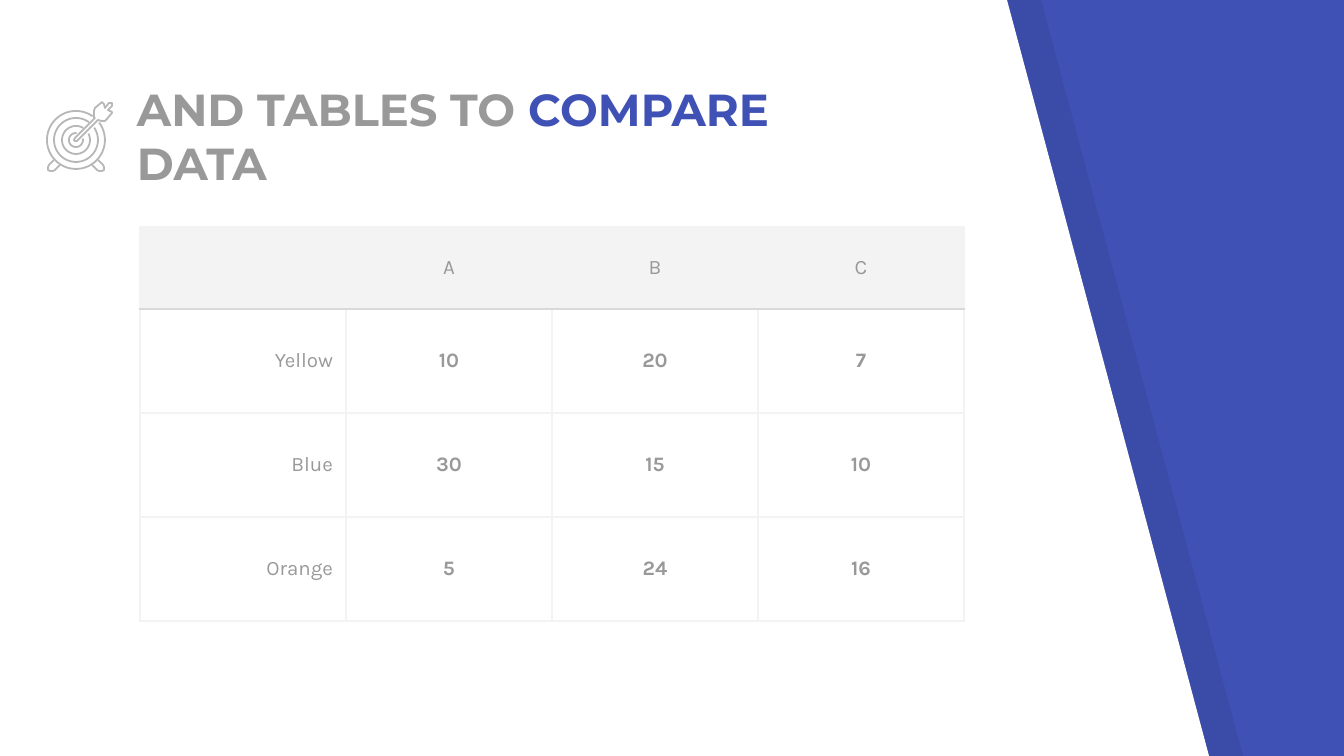
"""Build a slide that compares data in a table."""
from dataclasses import dataclass
from math import cos, radians, sin
from typing import Optional

from lxml import etree
from pptx import Presentation
from pptx.dml.color import RGBColor
from pptx.enum.text import MSO_ANCHOR, MSO_AUTO_SIZE, PP_ALIGN
from pptx.oxml.ns import qn
from pptx.util import Emu, Pt

LEFT, CENTER, RIGHT = PP_ALIGN.LEFT, PP_ALIGN.CENTER, PP_ALIGN.RIGHT
MIDDLE, BOTTOM = MSO_ANCHOR.MIDDLE, MSO_ANCHOR.BOTTOM
NO_FIT = MSO_AUTO_SIZE.NONE

BLUE = RGBColor(0x3F, 0x51, 0xB5)
BLACK = RGBColor(0, 0, 0)
WHITE = RGBColor(0xFF, 0xFF, 0xFF)
GRAY = RGBColor(0x99, 0x99, 0x99)
PALE = RGBColor(0xF3, 0xF3, 0xF3)
RULE = RGBColor(0xD9, 0xD9, 0xD9)
STROKE = RGBColor(0xB7, 0xB7, 0xB7)

SCALE = 914400 / 134.4
WIDE, HIGH = 1344, 756
HUB_X, HUB_Y = 76, 140
HEAD, ROW, COL = 82, 104, 206

DATA = [
    ["", "A", "B", "C"],
    ["Yellow", "10", "20", "7"],
    ["Blue", "30", "15", "10"],
    ["Orange", "5", "24", "16"],
]
FOOT = [(54, 160), (49, 165), (48, 167), (48, 170), (50, 171),
        (53, 171), (55, 170), (60, 165)]
DART = [(112, 112), (108, 110), (112, 106), (112, 103), (109, 103),
        (105, 108), (104, 104), (102, 102), (95, 108), (94, 111),
        (94, 117), (95, 118), (75, 138), (74, 140), (75, 141),
        (77, 141), (98, 120), (102, 121), (105, 121), (106, 120),
        (112, 113)]


@dataclass(frozen=True)
class Ring:
    """An open ring of the target, with angles in degrees."""
    radius: int
    start: int
    end: int

    def points(self) -> list:
        """Return points along the ring."""
        steps = 60
        turns = [radians(self.start + (self.end - self.start) * i / steps)
                 for i in range(steps + 1)]
        return [(HUB_X + self.radius * cos(t), HUB_Y + self.radius * sin(t))
                for t in turns]


@dataclass(frozen=True)
class Panel:
    """A slanted panel from the left edge."""
    shift: int
    fill: RGBColor
    alpha: int

    def points(self) -> list:
        """Return the corners of the panel."""
        return [(self.shift, 0), (self.shift, HIGH),
                (1209 + self.shift, HIGH), (1007 + self.shift, 0)]


RINGS = [Ring(29, -37, 305), Ring(22, -34, 306),
         Ring(14, -27, 301), Ring(7, -12, 276)]
PANELS = [Panel(34, BLACK, 7), Panel(0, WHITE, 100)]


def px(size: float) -> Emu:
    """Turn pixels into EMU."""
    return Emu(round(size * SCALE))


def trace(shapes, points: list, close: bool = False,
          fill: Optional[RGBColor] = None, alpha: int = 100) -> None:
    """Draw a filled panel or a thin outline."""
    first, *rest = [(px(x), px(y)) for x, y in points]
    pen = shapes.build_freeform(*first)
    pen.add_line_segments(rest, close=close)
    shape = pen.convert_to_shape()
    shape.shadow.inherit = False
    if fill is None:
        shape.fill.background()
        shape.line.color.rgb = STROKE
        shape.line.width = Pt(0.96)
        return
    shape.fill.solid()
    shape.fill.fore_color.rgb = fill
    shape.line.fill.background()
    if alpha < 100:
        tint = shape.fill._xPr.find(".//" + qn("a:srgbClr"))
        etree.SubElement(tint, qn("a:alpha"), val=str(alpha * 1000))


def write(para, text: str, *, face: str = "Karla", size: int = 11,
          color: RGBColor = GRAY, bold: bool = False,
          align: PP_ALIGN = CENTER) -> None:
    """Add formatted text to a paragraph."""
    para.alignment = align
    run = para.add_run()
    run.text = text
    font = run.font
    font.name, font.size, font.bold = face, Pt(size), bold
    font.color.rgb = color


def edge(cell, side: str, color: RGBColor) -> None:
    """Draw one border of a cell."""
    line = etree.SubElement(cell._tc.get_or_add_tcPr(), qn("a:ln" + side),
                            w=str(Pt(1.5)))
    fill = etree.SubElement(line, qn("a:solidFill"))
    etree.SubElement(fill, qn("a:srgbClr"), val=str(color))


def draw_title(slide) -> None:
    """Place the title above the panels."""
    title = slide.shapes.title
    slide.shapes._spTree.append(title._element)
    title.left, title.top = px(124), px(142)
    title.width, title.height = px(706), px(60)
    frame = title.text_frame
    frame.word_wrap, frame.auto_size = True, NO_FIT
    frame.vertical_anchor = BOTTOM
    frame.margin_left = frame.margin_right = px(13)
    frame.margin_top = frame.margin_bottom = px(13)
    for text, color in (("AND TABLES TO ", GRAY), ("COMPARE", BLUE),
                        (" DATA", GRAY)):
        write(frame.paragraphs[0], text, face="Montserrat", size=24,
              color=color, bold=True, align=LEFT)


def draw_table(slide) -> None:
    """Draw the table of values."""
    count = len(DATA)
    table = slide.shapes.add_table(
        count, len(DATA[0]), px(140), px(227), px(COL * len(DATA[0])),
        px(HEAD + ROW * (count - 1))).table
    table.first_row = table.horz_banding = False
    for col in table.columns:
        col.width = px(COL)
    for r, values in enumerate(DATA):
        table.rows[r].height = px(ROW if r else HEAD)
        for c, text in enumerate(values):
            cell = table.cell(r, c)
            cell.vertical_anchor = MIDDLE
            cell.margin_left = cell.margin_right = px(13)
            cell.margin_top = cell.margin_bottom = px(9)
            for side in "LRTB":
                ruled = (r, side) in ((0, "B"), (1, "T"))
                edge(cell, side, RULE if ruled else PALE)
            if r:
                cell.fill.background()
            else:
                cell.fill.solid()
                cell.fill.fore_color.rgb = PALE
            if text:
                write(cell.text_frame.paragraphs[0], text,
                      bold=r > 0 and c > 0,
                      align=RIGHT if c == 0 else CENTER)


def draw_target(slide) -> None:
    """Draw the target with its feet and dart."""
    shapes = slide.shapes.add_group_shape().shapes
    for ring in RINGS:
        trace(shapes, ring.points())
    trace(shapes, FOOT)
    trace(shapes, [(2 * HUB_X - x, y) for x, y in FOOT])
    trace(shapes, DART, close=True)


def main() -> None:
    """Build and save the slide."""
    deck = Presentation()
    deck.slide_width, deck.slide_height = px(WIDE), px(HIGH)
    slide = deck.slides.add_slide(deck.slide_layouts[5])
    slide.background.fill.solid()
    slide.background.fill.fore_color.rgb = BLUE
    for panel in PANELS:
        trace(slide.shapes, panel.points(), close=True,
              fill=panel.fill, alpha=panel.alpha)
    draw_title(slide)
    draw_table(slide)
    draw_target(slide)
    deck.save("out.pptx")


if __name__ == "__main__":
    main()
